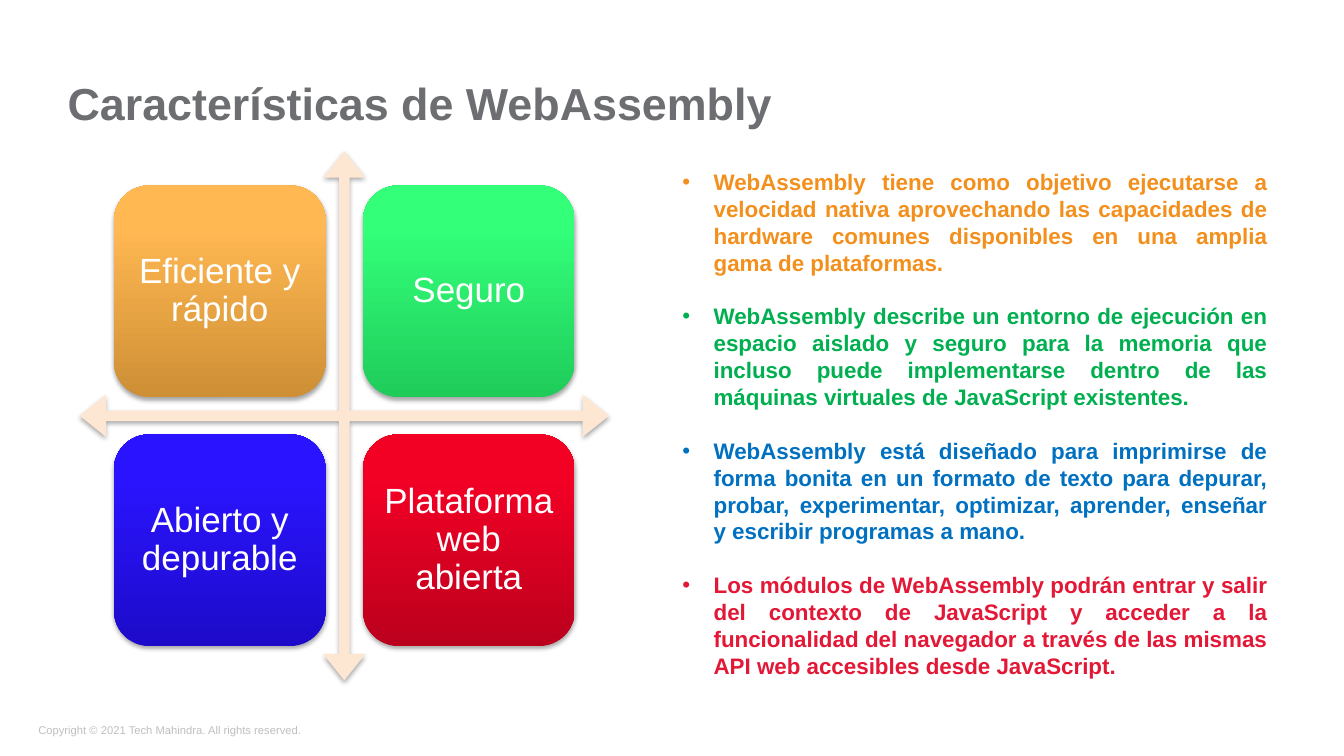
from copy import deepcopy
from dataclasses import dataclass

from lxml.etree import SubElement
from pptx import Presentation
from pptx.dml.color import RGBColor
from pptx.enum.shapes import MSO_SHAPE
from pptx.enum.text import MSO_ANCHOR, PP_ALIGN
from pptx.oxml import parse_xml
from pptx.oxml.ns import nsdecls, qn
from pptx.util import Inches, Pt


@dataclass(frozen=True)
class Theme:
    font: str = "Arial"
    title: str = "6D6E71"
    footer: str = "BFBFBF"
    arrows: str = "FEE7D2"
    tile_text: str = "FFFFFF"
    title_size: float = 32
    tile_size: float = 25
    body_size: float = 16
    footer_size: float = 8
    bullet_gap: float = 19.2


THEME = Theme()

TILES = [
    ("Eficiente y rápido", ("CE8F35", "FFB852", "FFB954")),
    ("Seguro", ("1FCC5A", "33FF79", "34FF7A")),
    ("Abierto y depurable", ("1D0BC9", "2A14FF", "2B15FF")),
    ("Plataforma web abierta", ("BB001D", "F30025", "F40025")),
]

FEATURES = [
    ("WebAssembly tiene como objetivo ejecutarse a velocidad nativa aprovechando las "
     "capacidades de hardware comunes disponibles en una amplia gama de plataformas.",
     "F3901D"),
    ("WebAssembly describe un entorno de ejecución en espacio aislado y seguro para la "
     "memoria que incluso puede implementarse dentro de las máquinas virtuales de "
     "JavaScript existentes.", "00B050"),
    ("WebAssembly está diseñado para imprimirse de forma bonita en un formato de texto "
     "para depurar, probar, experimentar, optimizar, aprender, enseñar y escribir "
     "programas a mano.", "0070C0"),
    ("Los módulos de WebAssembly podrán entrar y salir del contexto de JavaScript y "
     "acceder a la funcionalidad del navegador a través de las mismas API web accesibles "
     "desde JavaScript.", "E31837"),
]


def format_font(font, size, color, bold=False):
    font.name = THEME.font
    font.size = Pt(size)
    font.bold = bold
    font.color.rgb = RGBColor.from_string(color)


def set_margins(frame, margin):
    frame.margin_left = frame.margin_right = Inches(margin)
    frame.margin_top = frame.margin_bottom = Inches(margin)


def add_soft_shadow(shape):
    shape._element.spPr.append(parse_xml(
        f'<a:effectLst {nsdecls("a")}>'
        '<a:outerShdw blurRad="40000" dist="23000" dir="5400000" rotWithShape="0">'
        '<a:srgbClr val="000000"><a:alpha val="35000"/></a:srgbClr>'
        '</a:outerShdw></a:effectLst>'))


def fill_gradient(fill, colors):
    fill.gradient()
    fill.gradient_angle = 90
    last_stop = fill.gradient_stops[1]._gs
    last_stop.addnext(deepcopy(last_stop))
    for stop, color, position in zip(fill.gradient_stops, colors, (0, 0.8, 1)):
        stop.color.rgb = RGBColor.from_string(color)
        stop.position = position


def add_title(slide, text):
    title = slide.shapes.title
    title.left, title.top = Inches(0.67), Inches(0.75)
    title.width, title.height = Inches(7.17), Inches(1.08)
    frame = title.text_frame
    set_margins(frame, 0)
    frame.vertical_anchor = MSO_ANCHOR.TOP
    frame.text = text
    para = frame.paragraphs[0]
    para.alignment = PP_ALIGN.LEFT
    format_font(para.runs[0].font, THEME.title_size, THEME.title, bold=True)


def add_cross_arrows(slide):
    arrows = slide.shapes.add_shape(
        MSO_SHAPE.QUAD_ARROW, Inches(0.79), Inches(1.5), Inches(5.25), Inches(5.25))
    for index, value in enumerate((0.02, 0.04, 0.05)):
        arrows.adjustments[index] = value
    arrows.fill.solid()
    arrows.fill.fore_color.rgb = RGBColor.from_string(THEME.arrows)
    arrows.line.fill.background()
    add_soft_shadow(arrows)


def add_tile(slide, left, top, text, colors):
    tile = slide.shapes.add_shape(
        MSO_SHAPE.ROUNDED_RECTANGLE, Inches(left), Inches(top), Inches(2.1), Inches(2.1))
    fill_gradient(tile.fill, colors)
    tile.line.fill.background()
    add_soft_shadow(tile)
    frame = tile.text_frame
    frame.word_wrap = True
    set_margins(frame, 0.1)
    frame.vertical_anchor = MSO_ANCHOR.MIDDLE
    frame.text = text
    para = frame.paragraphs[0]
    para.alignment = PP_ALIGN.CENTER
    para.line_spacing = 0.9
    format_font(para.runs[0].font, THEME.tile_size, THEME.tile_text)


def add_bullet(para):
    properties = para._p.get_or_add_pPr()
    properties.set("marL", str(Inches(0.31)))
    properties.set("indent", str(-Inches(0.31)))
    SubElement(properties, qn("a:buFont"), typeface=THEME.font)
    SubElement(properties, qn("a:buChar"), char="•")


def add_feature_list(slide, features):
    box = slide.shapes.add_textbox(Inches(6.67), Inches(1.62), Inches(6), Inches(5.22))
    frame = box.text_frame
    frame.word_wrap = True
    for index, (text, color) in enumerate(features):
        para = frame.add_paragraph() if index else frame.paragraphs[0]
        para.text = text
        para.alignment = PP_ALIGN.JUSTIFY
        add_bullet(para)
        if index:
            para.space_before = Pt(THEME.bullet_gap)
        format_font(para.runs[0].font, THEME.body_size, color, bold=True)


def add_footer(slide, text):
    box = slide.shapes.add_textbox(Inches(0.38), Inches(7.18), Inches(2.66), Inches(0.13))
    frame = box.text_frame
    frame.word_wrap = False
    set_margins(frame, 0)
    frame.text = text
    format_font(frame.paragraphs[0].runs[0].font, THEME.footer_size, THEME.footer)


def main():
    deck = Presentation()
    deck.slide_width, deck.slide_height = Inches(13.33), Inches(7.5)
    slide = deck.slides.add_slide(deck.slide_layouts[5])
    add_footer(slide, "Copyright © 2021 Tech Mahindra. All rights reserved.")
    add_title(slide, "Características de WebAssembly")
    add_cross_arrows(slide)
    for index, (text, colors) in enumerate(TILES):
        row, column = divmod(index, 2)
        add_tile(slide, 1.13 + 2.47 * column, 1.84 + 2.47 * row, text, colors)
    add_feature_list(slide, FEATURES)
    deck.save("out.pptx")


if __name__ == "__main__":
    main()
